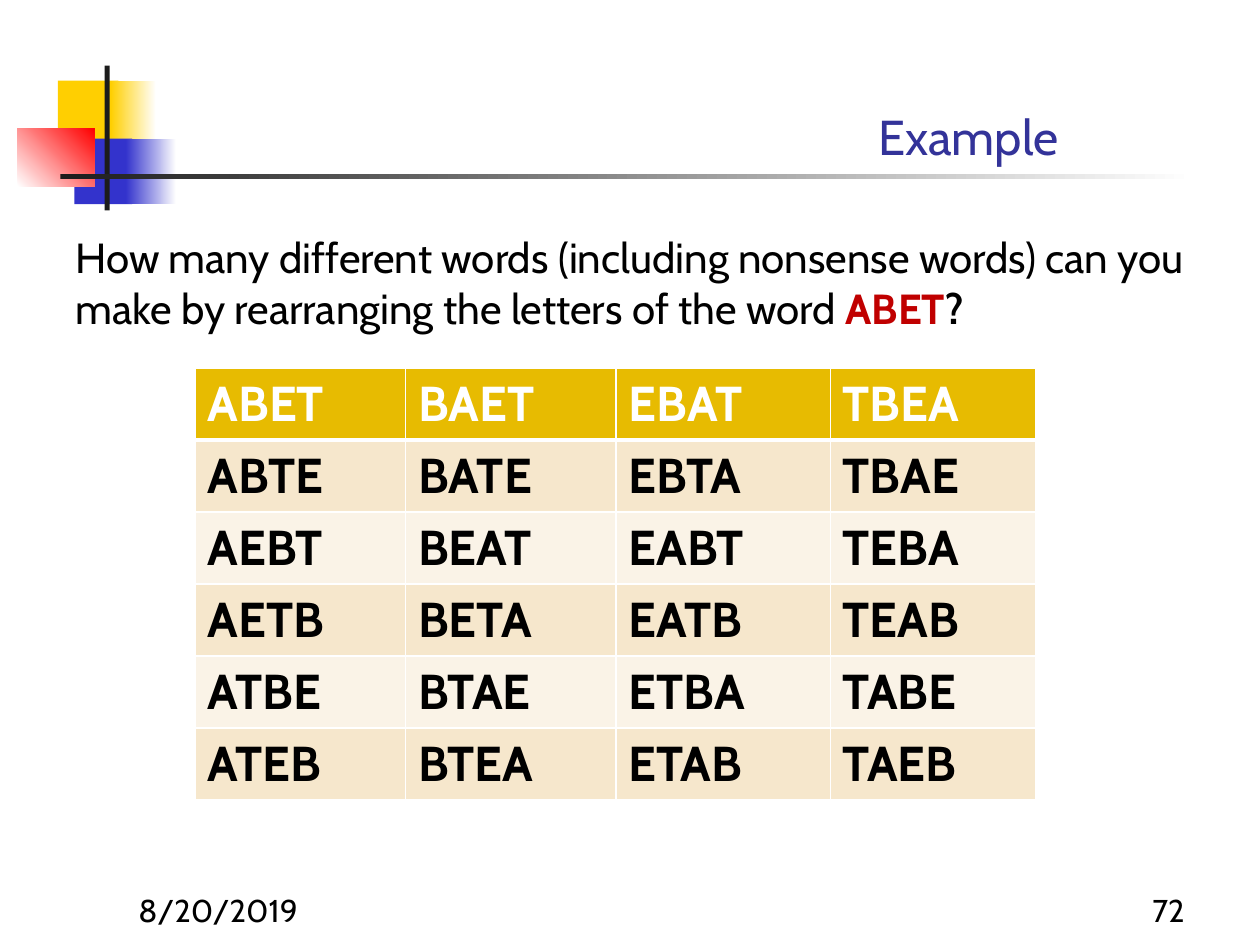
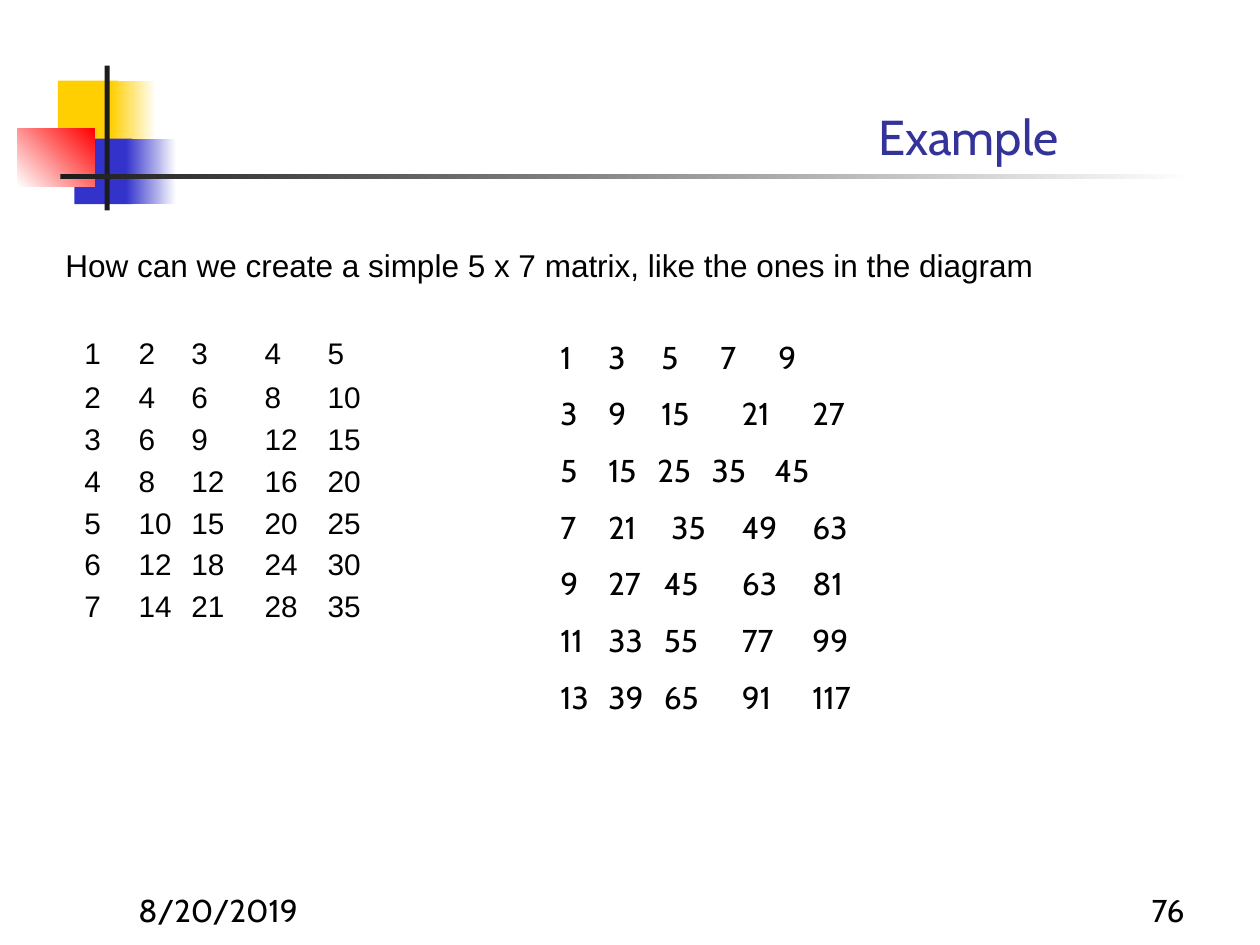
from lxml import etree
from pptx import Presentation
from pptx.dml.color import RGBColor
from pptx.enum import shapes, text
from pptx.oxml import ns
from pptx.util import Inches, Pt

COLORS = {
    "gold": "FFCF01", "blue": "3333CC", "red": "FF0000", "ink": "1C1C1C",
    "white": "FFFFFF", "black": "000000", "title": "333399", "word": "C00000",
    "head": "E7BB01", "dark": "F6E7CC", "light": "FAF3E7",
}
SANS, PLAIN = "Cabin", "Arial"
LEFT, RIGHT = text.PP_ALIGN.LEFT, text.PP_ALIGN.RIGHT
TOP, MIDDLE, BOTTOM = (text.MSO_ANCHOR.TOP, text.MSO_ANCHOR.MIDDLE,
                       text.MSO_ANCHOR.BOTTOM)

# Left, top, width, height, colours from first to last, gradient angle
BANDS = [
    (0.46, 0.64, 0.48, 0.52, ["gold"], 0),
    (0.88, 0.64, 0.36, 0.52, ["gold", "white"], 0),
    (0.59, 1.1, 0.46, 0.52, ["blue"], 0),
    (1, 1.1, 0.4, 0.52, ["blue", "white"], 0),
    (0.14, 1.02, 0.61, 0.46, ["white", "red"], 45),
    (0.83, 0.52, 0.04, 1.15, ["ink"], 0),
    (0.48, 1.38, 9, 0.04, ["ink", "white"], 0),
]

WORDS = [
    "ABET BAET EBAT TBEA", "ABTE BATE EBTA TBAE", "AEBT BEAT EABT TEBA",
    "AETB BETA EATB TEAB", "ATBE BTAE ETBA TABE", "ATEB BTEA ETAB TAEB",
]

# Tab stops of the odd-number rows, in inches
WIDE = (0.38, 0.82, 1.44, 2)
STOPS = [(0.38, 0.8, 1.27, 1.73), (0.38, 0.8, 1.44, 2),
         (0.38, 0.77, 1.2, 1.7), (0.38, 0.88, 1.44, 2), WIDE, WIDE, WIDE]


def rgb(name):
    return RGBColor.from_string(COLORS[name])


def box(*lengths):
    return [Inches(n) for n in lengths]


def assign(obj, values):
    for name, value in values.items():
        setattr(obj, name, value)


def write(para, words, size, font=SANS, color="black", bold=False):
    run = para.add_run()
    run.text = words
    assign(run.font, {"size": Pt(size), "name": font, "bold": bold})
    run.font.color.rgb = rgb(color)


def add_band(slide, left, top, width, height, colors, angle):
    band = slide.shapes.add_shape(shapes.MSO_SHAPE.RECTANGLE,
                                  *box(left, top, width, height))
    band.shadow.inherit = False
    band.line.fill.background()
    if len(colors) == 1:
        band.fill.solid()
        band.fill.fore_color.rgb = rgb(colors[0])
        return
    band.fill.gradient()
    band.fill.gradient_angle = angle
    for stop, color in zip(band.fill.gradient_stops, colors):
        stop.color.rgb = rgb(color)


def add_text(slide, place, anchor=TOP, align=LEFT):
    """Add a wrapping text box and return its first paragraph."""
    frame = slide.shapes.add_textbox(*box(*place)).text_frame
    assign(frame, {"word_wrap": True, "vertical_anchor": anchor})
    frame.paragraphs[0].alignment = align
    return frame.paragraphs[0]


def add_slide(deck, title, page):
    """Add a slide with the title, bands and footer that all share."""
    slide = deck.slides.add_slide(deck.slide_layouts[5])
    for band in BANDS:
        add_band(slide, *band)
    head = slide.shapes.title
    assign(head, dict(zip(("left", "top", "width", "height"),
                          box(1.26, 0.11, 7.24, 1.25))))
    head.text_frame.vertical_anchor = BOTTOM
    para = head.text_frame.paragraphs[0]
    para.alignment = RIGHT
    write(para, title, 28, color="title")
    for left, words, align in ((1, "8/20/2019", LEFT), (7.42, page, RIGHT)):
        foot = add_text(slide, (left, 6.92, 2.08, 0.5), BOTTOM, align)
        write(foot, words, 18)
    return slide


def add_grid(slide, left, top, cols, rows):
    """Add a plain table with the given column widths and row heights."""
    frame = slide.shapes.add_table(
        len(rows), len(cols), *box(left, top, sum(cols), sum(rows)))
    grid = frame.table
    assign(grid, {"first_row": False, "horz_banding": False})
    for col, width in zip(grid.columns, cols):
        col.width = Inches(width)
    for row, height in zip(grid.rows, rows):
        row.height = Inches(height)
    return grid


def edge(cell, side, width):
    """Draw one white cell border."""
    props = cell._tc.get_or_add_tcPr()
    line = etree.SubElement(props, ns.qn("a:ln" + side), w=str(Pt(width)))
    fill = etree.SubElement(line, ns.qn("a:solidFill"))
    etree.SubElement(fill, ns.qn("a:srgbClr"), val=COLORS["white"])


def add_words(slide):
    grid = add_grid(slide, 1.55, 2.92, (1.67, 1.67, 1.7, 1.63),
                    [3.43 / len(WORDS)] * len(WORDS))
    for i, line in enumerate(WORDS):
        shade = "head" if i == 0 else ("light", "dark")[i % 2]
        color = "white" if i == 0 else "black"
        for cell, word in zip(grid.rows[i].cells, line.split()):
            for side in "LRTB":
                heavy = (i, side) in ((0, "B"), (1, "T"))
                edge(cell, side, 3 if heavy else 1)
            cell.fill.solid()
            cell.fill.fore_color.rgb = rgb(shade)
            write(cell.text_frame.paragraphs[0], word, 28, color=color,
                  bold=True)


def add_times(slide):
    """Add the 5 x 7 multiplication matrix, with free cells around it."""
    cols = [0.43, 0.42, 0.58, 0.5, 0.5, 1.98] + [0.73] * 4
    rows = [0.36] + [1 / 3] * 6 + [0.43] * 3
    grid = add_grid(slide, 0.65, 2.63, cols, rows)
    pad = Inches(0.02)
    for i, row in enumerate(grid.rows, 1):
        for j, cell in enumerate(row.cells, 1):
            assign(cell, {"margin_left": pad, "margin_right": pad,
                          "margin_top": 0, "margin_bottom": 0,
                          "vertical_anchor": MIDDLE})
            cell.fill.background()
            if i <= 7 and j <= 5:
                write(cell.text_frame.paragraphs[0], str(i * j), 17, PLAIN)


def set_tabs(para, stops):
    tabs = etree.SubElement(para._p.get_or_add_pPr(), ns.qn("a:tabLst"))
    for stop in stops:
        etree.SubElement(tabs, ns.qn("a:tab"), pos=str(Inches(stop)),
                         algn="l")


def add_odds(slide):
    """Add the matrix of products of odd numbers as tabbed lines."""
    para = add_text(slide, (4.35, 2.63, 2.67, 3.13))
    frame = para._parent
    for i, stops in enumerate(STOPS):
        if i:
            para = frame.add_paragraph()
        para.space_after = Pt(10.8)
        set_tabs(para, stops)
        odds = [(2 * i + 1) * n for n in range(1, 10, 2)]
        write(para, "\t".join(map(str, odds)), 18)


def main():
    deck = Presentation()
    assign(deck, {"slide_width": Inches(10), "slide_height": Inches(7.5)})

    slide = add_slide(deck, "Example", "72")
    ask = add_text(slide, (0.5, 1.79, 9.25, 1))
    write(ask, "How many different words (including nonsense words) can you "
               "make by rearranging the letters of the word ", 24)
    write(ask, "ABET", 24, color="word", bold=True)
    write(ask, "?", 24, bold=True)
    add_words(slide)

    slide = add_slide(deck, "Example", "76")
    ask = add_text(slide, (0.42, 1.9, 8.68, 0.4))
    write(ask, "How can we create a simple 5 x 7 matrix, "
               "like the ones in the diagram", 18, PLAIN)
    add_times(slide)
    add_odds(slide)

    deck.save("out.pptx")


if __name__ == "__main__":
    main()
